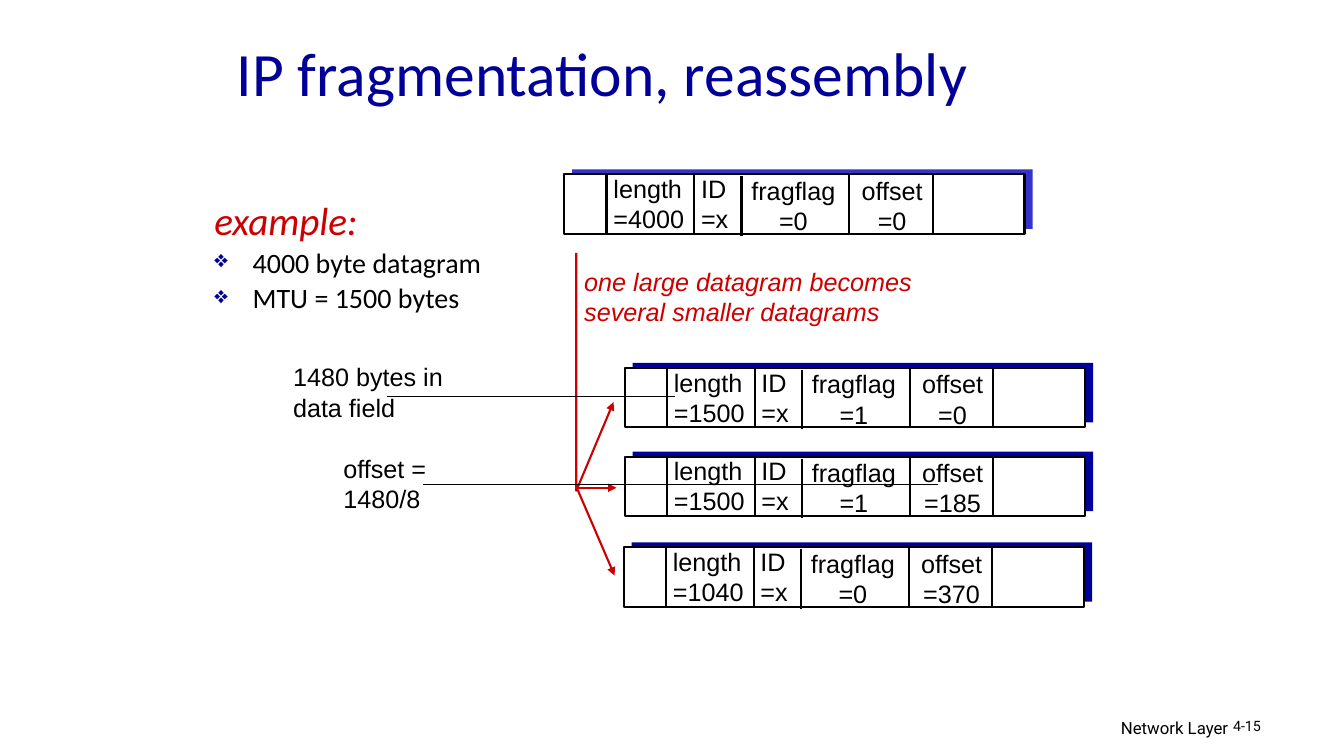
from dataclasses import dataclass, field
from typing import Any

import lxml.etree
import pptx
import pptx.dml.color
import pptx.enum.shapes
import pptx.enum.text
import pptx.oxml
import pptx.oxml.ns
import pptx.util

PX = 9144  # EMU per px, 100 px to the inch
ALIGN = pptx.enum.text.PP_ALIGN
RECT = pptx.enum.shapes.MSO_SHAPE.RECTANGLE
STRAIGHT = pptx.enum.shapes.MSO_CONNECTOR.STRAIGHT


@dataclass(frozen=True)
class Theme:
    navy: str = "000099"
    blue: str = "3333CC"
    red: str = "CC0000"
    black: str = "000000"
    white: str = "FFFFFF"
    body: str = "Calibri"
    diagram: str = "Arial"
    footer: str = "Roboto"
    title_pt: float = 44
    heading_pt: float = 28
    bullet_pt: float = 20
    label_pt: float = 18
    footer_pt: float = 12
    number_pt: float = 10.2
    line_pt: float = 1.5
    thin_pt: float = 0.75


T = Theme()
LABEL = {"name": T.diagram, "size": T.label_pt, "color": T.black}


@dataclass(frozen=True)
class Label:
    x: int
    y: int
    w: int
    h: int
    lines: list[str]
    style: dict[str, Any] = field(default_factory=lambda: LABEL)
    align: Any = ALIGN.LEFT
    wrap: bool = False


@dataclass(frozen=True)
class Datagram:
    x: int
    y: int
    length: int
    flag: int
    offset: int
    shadow: str = T.navy


@dataclass(frozen=True)
class Line:
    x1: int
    y1: int
    x2: int
    y2: int
    color: str = T.black
    pt: float = T.line_pt
    arrow: bool = False


DATAGRAMS = [
    Datagram(560, 173, 4000, 0, 0, T.blue),
    Datagram(620, 365, 1500, 1, 0),
    Datagram(620, 453, 1500, 1, 185),
    Datagram(619, 543, 1040, 0, 370),
]
BOX_W, BOX_H = 457, 59
DIVIDERS = [(42, 0), (129, 0), (176, 2), (283, 0), (366, 0)]

LABELS = [
    Label(570, 259, 345, 70, ["one large datagram becomes", "several smaller datagrams"],
          LABEL | {"color": T.red, "italic": True}),
    Label(281, 354, 175, 70, ["1480 bytes in\vdata field"], wrap=True),
    Label(331, 445, 103, 70, ["offset =", "1480/8"]),
    Label(807, 707, 422, 31, ["Network Layer"],
          {"name": T.footer, "size": T.footer_pt, "color": T.black}, ALIGN.RIGHT, True),
    Label(1214, 707, 99, 30, ["4-15"],
          {"name": T.footer, "size": T.number_pt, "color": T.black}, wrap=True),
]
ARROWS = [
    Line(572, 484, 612, 484, T.red, arrow=True),
    Line(573, 485, 610, 571, T.red, arrow=True),
]
POINTERS = [
    Line(384, 393, 670, 393, pt=T.thin_pt),
    Line(931, 481, 420, 481, pt=T.thin_pt),
]


def px(*lengths: int) -> list[int]:
    return [n * PX for n in lengths]


def rgb(color: str) -> pptx.dml.color.RGBColor:
    return pptx.dml.color.RGBColor.from_string(color)


def format_font(font: Any, style: dict[str, Any]) -> None:
    for key, value in style.items():
        if key == "color":
            font.color.rgb = rgb(value)
        else:
            setattr(font, key, pptx.util.Pt(value) if key == "size" else value)


def sub(parent: Any, tag: str, **attrs: str) -> Any:
    return lxml.etree.SubElement(parent, pptx.oxml.ns.qn(tag), attrs)


def style_line(sp: Any, color: str, pt: float, arrow: bool = False) -> None:
    sp.line.color.rgb = rgb(color)
    sp.line.width = pptx.util.Pt(pt)
    if arrow:
        sub(sp.line._get_or_add_ln(), "a:tailEnd", type="triangle")


def add_label(slide: Any, label: Label) -> None:
    sp = slide.shapes.add_textbox(*px(label.x, label.y, label.w, label.h))
    tf = sp.text_frame
    tf.word_wrap = label.wrap
    tf.text = "\n".join(label.lines)
    for p in tf.paragraphs:
        p.alignment = label.align
        for r in p.runs:
            format_font(r.font, label.style)


def add_line(slide: Any, line: Line) -> None:
    cxn = slide.shapes.add_connector(STRAIGHT, *px(line.x1, line.y1, line.x2, line.y2))
    style_line(cxn, line.color, line.pt, line.arrow)
    sub(cxn._element.spPr, "a:effectLst")


def add_box(slide: Any, x: int, y: int, fill: str) -> Any:
    sp = slide.shapes.add_shape(RECT, *px(x, y, BOX_W, BOX_H))
    sp.shadow.inherit = False
    sp.fill.solid()
    sp.fill.fore_color.rgb = rgb(fill)
    sp.line.fill.background()
    return sp


def add_datagram(slide: Any, d: Datagram) -> None:
    add_box(slide, d.x + 8, d.y - 5, d.shadow)
    style_line(add_box(slide, d.x, d.y, T.white), T.black, T.line_pt)
    for dx, dy, w, name, value, align in [
        (39, -6, 95, "length", d.length, ALIGN.LEFT),
        (126, -6, 52, "ID", "x", ALIGN.LEFT),
        (168, -4, 119, "fragflag", d.flag, ALIGN.CENTER),
        (281, -4, 89, "offset", d.offset, ALIGN.CENTER),
    ]:
        add_label(slide, Label(d.x + dx, d.y + dy, w, 70, [name, f"={value}"], align=align))
    for dx, dy in DIVIDERS:
        add_line(slide, Line(d.x + dx, d.y + dy, d.x + dx, d.y + dy + BOX_H))


def add_split_arrow(slide: Any) -> None:
    """Draw the stem from the large datagram, bent up to the first fragment."""
    builder = slide.shapes.build_freeform(572, 251, scale=PX)
    builder.add_line_segments([(572, 487), (609, 399)], close=False)
    sp = builder.convert_to_shape()
    sp.shadow.inherit = False
    sp.fill.background()
    style_line(sp, T.red, T.line_pt, arrow=True)


def add_example(slide: Any) -> None:
    tf = slide.shapes.add_textbox(*px(203, 197, 310, 184)).text_frame
    tf.word_wrap = True
    tf.text = "example:\n4000 byte datagram\nMTU = 1500 bytes"
    heading, *bullets = tf.paragraphs
    for p in tf.paragraphs:
        p.line_spacing = 0.85
        pPr = p._p.get_or_add_pPr()
        pPr.set("marL", str(38 * PX))
        pPr.set("indent", str(-38 * PX))
    format_font(heading.runs[0].font, {"name": T.body, "size": T.heading_pt,
                                       "color": T.red, "italic": True})
    for p in bullets:
        p.space_before = pptx.util.Pt(5)
        pPr = p._p.get_or_add_pPr()
        sub(sub(pPr, "a:buClr"), "a:srgbClr", val=T.navy)
        sub(pPr, "a:buSzPct", val="85000")
        sub(pPr, "a:buChar", char="❖")
        format_font(p.runs[0].font, {"name": T.body, "size": T.bullet_pt, "color": T.black})


def set_title(slide: Any, text: str) -> None:
    sp = slide.shapes.title
    sp.left, sp.top, sp.width, sp.height = px(225, 20, 850, 102)
    tf = sp.text_frame
    tf.text = text
    tf.vertical_anchor = pptx.enum.text.MSO_ANCHOR.MIDDLE
    p = tf.paragraphs[0]
    p.alignment = ALIGN.LEFT
    format_font(p.runs[0].font, {"name": T.body, "size": T.title_pt, "color": T.navy})


def main() -> None:
    prs = pptx.Presentation()
    prs.slide_width, prs.slide_height = px(1334, 750)
    slide = prs.slides.add_slide(prs.slide_layouts[5])
    set_title(slide, "IP fragmentation, reassembly")
    for d in DATAGRAMS:
        add_datagram(slide, d)
    add_split_arrow(slide)
    add_example(slide)
    for label in LABELS:
        add_label(slide, label)
    for line in ARROWS + POINTERS:
        add_line(slide, line)
    prs.save("out.pptx")


if __name__ == "__main__":
    main()
